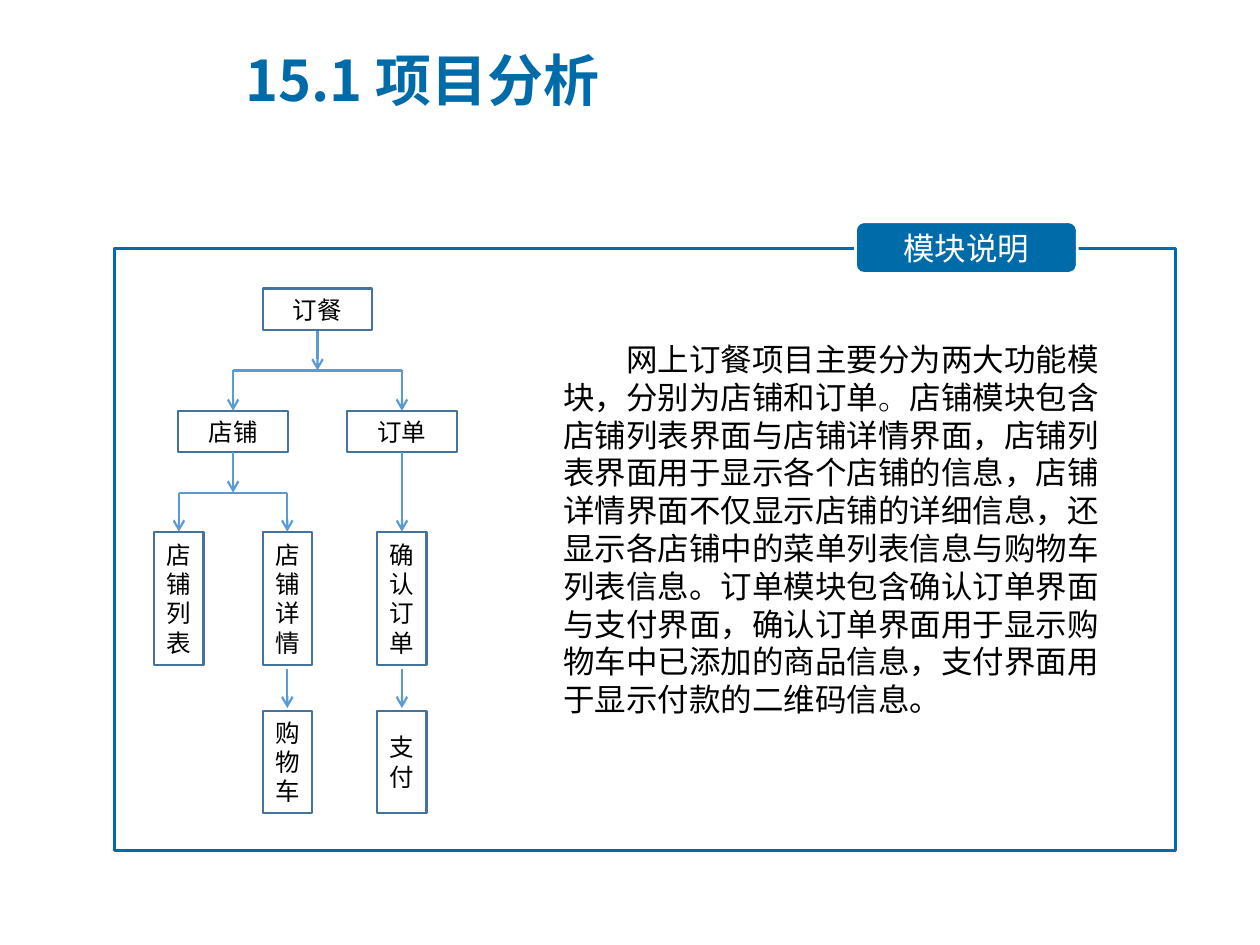
"""Build the project analysis slide with its module tree and description."""
from lxml.etree import SubElement
from pptx import Presentation
from pptx.dml.color import RGBColor
from pptx.enum.shapes import MSO_CONNECTOR as CONN, MSO_SHAPE as SHAPE
from pptx.enum.text import MSO_ANCHOR as ANCHOR, PP_ALIGN as ALIGN
from pptx.oxml.ns import qn
from pptx.util import Inches, Pt

BLUE = RGBColor(0x00, 0x6B, 0xA9)
BOX_LINE = RGBColor(0x43, 0x73, 0x9E)
ARROW = RGBColor(0x5B, 0x9B, 0xD5)
BLACK = RGBColor(0, 0, 0)
WHITE = RGBColor(0xFF, 0xFF, 0xFF)
SANS, LATIN, SERIF = "Noto Sans CJK SC", "Calibri", "Times New Roman"

TITLE = "15.1 项目分析"
LABEL = "模块说明"
BODY = [
    ("网上订餐项目主要分为两大功能模块，分别为店铺和订单", LATIN),
    ("。", SERIF),
    ("店铺模块包含店铺列表界面与店铺详情界面，店铺列表界面用于显示各个店铺的信息，"
     "店铺详情界面不仅显示店铺的详细信息，还显示各店铺中的菜单列表信息与购物车列表信息。"
     "订单模块包含确认订单界面与支付界面，确认订单界面用于显示购物车中已添加的商品信息，"
     "支付界面用于显示付款的二维码信息。", LATIN),
]

LIST_X, SHOP_X, DETAIL_X, ROOT_X, ORDER_X = 1.42, 1.85, 2.28, 2.52, 3.19
WIDE, TALL, SHORT = (0.87, 0.33), (0.39, 1.06), (0.39, 0.81)
NODES = [
    ("订餐", ROOT_X, 2.29, WIDE),
    ("店铺", SHOP_X, 3.26, WIDE),
    ("订单", ORDER_X, 3.26, WIDE),
    ("店铺列表", LIST_X, 4.22, TALL),
    ("店铺详情", DETAIL_X, 4.22, TALL),
    ("确认订单", ORDER_X, 4.22, TALL),
    ("购物车", DETAIL_X, 5.64, SHORT),
    ("支付", ORDER_X, 5.64, SHORT),
]
ARROWS = [
    (ROOT_X, 2.63, 2.94), (SHOP_X, 2.94, 3.26), (ORDER_X, 2.94, 3.26),
    (SHOP_X, 3.59, 3.91), (LIST_X, 3.91, 4.22), (DETAIL_X, 3.91, 4.22),
    (ORDER_X, 3.59, 4.22), (DETAIL_X, 5.31, 5.62), (ORDER_X, 5.31, 5.62),
]
BRANCHES = [(SHOP_X, ORDER_X, 2.94), (LIST_X, DETAIL_X, 3.91)]


def write(sp, runs, size, color, bold=False, align=ALIGN.LEFT, anchor=ANCHOR.TOP):
    tf = sp.text_frame
    tf.word_wrap = True
    tf.vertical_anchor = anchor
    p = tf.paragraphs[0]
    p.alignment = align
    for text, font in runs:
        r = p.add_run()
        r.text = text
        r.font.size, r.font.bold, r.font.name = Pt(size), bold, font
        r.font.color.rgb = color
        SubElement(r.font._element, qn("a:ea")).set("typeface", font)
    return p


def add_box(s, kind, at, line, width, fill=None):
    sp = s.shapes.add_shape(kind, *map(Inches, at))
    sp.shadow.inherit = False
    if fill is None:
        sp.fill.background()
    else:
        sp.fill.solid()
        sp.fill.fore_color.rgb = fill
    sp.line.color.rgb = line
    sp.line.width = Pt(width)
    return sp


def add_line(s, x1, y1, x2, y2, arrow=False):
    c = s.shapes.add_connector(CONN.STRAIGHT, *map(Inches, (x1, y1, x2, y2)))
    c.line.color.rgb = ARROW
    c.line.width = Pt(1.25)
    if arrow:
        SubElement(c.line._get_or_add_ln(), qn("a:tailEnd")).set("type", "arrow")
    SubElement(c._element.spPr, qn("a:effectLst"))


def add_text(s, at, *args, **kwargs):
    return write(s.shapes.add_textbox(*map(Inches, at)), *args, **kwargs)


def main():
    prs = Presentation()
    prs.slide_width, prs.slide_height = Inches(10), Inches(7.5)
    s = prs.slides.add_slide(prs.slide_layouts[6])

    add_box(s, SHAPE.RECTANGLE, (0.91, 1.97, 8.42, 4.78), BLUE, 1.5)
    sp = add_box(s, SHAPE.ROUNDED_RECTANGLE, (6.79, 1.76, 1.76, 0.41), WHITE, 1.5, BLUE)
    write(sp, [(LABEL, SANS)], 18, WHITE, align=ALIGN.CENTER, anchor=ANCHOR.MIDDLE)
    p = add_text(s, (4.37, 2.65, 4.65, 3.13), BODY, 18, BLACK)
    p._p.get_or_add_pPr().set("indent", str(Inches(0.5)))
    add_text(s, (1.85, 0.21, 6.85, 0.84), [(TITLE, SANS)], 32, BLUE, bold=True,
             anchor=ANCHOR.MIDDLE)

    for text, x, y, (w, h) in NODES:
        sp = add_box(s, SHAPE.RECTANGLE, (x - w / 2, y, w, h), BOX_LINE, 1.25)
        write(sp, [(text, LATIN)], 14, BLACK, align=ALIGN.CENTER, anchor=ANCHOR.MIDDLE)
    for x, top, bottom in ARROWS:
        add_line(s, x, top, x, bottom, arrow=True)
    for left, right, y in BRANCHES:
        add_line(s, left, y, right, y)

    prs.save("out.pptx")


if __name__ == "__main__":
    main()
